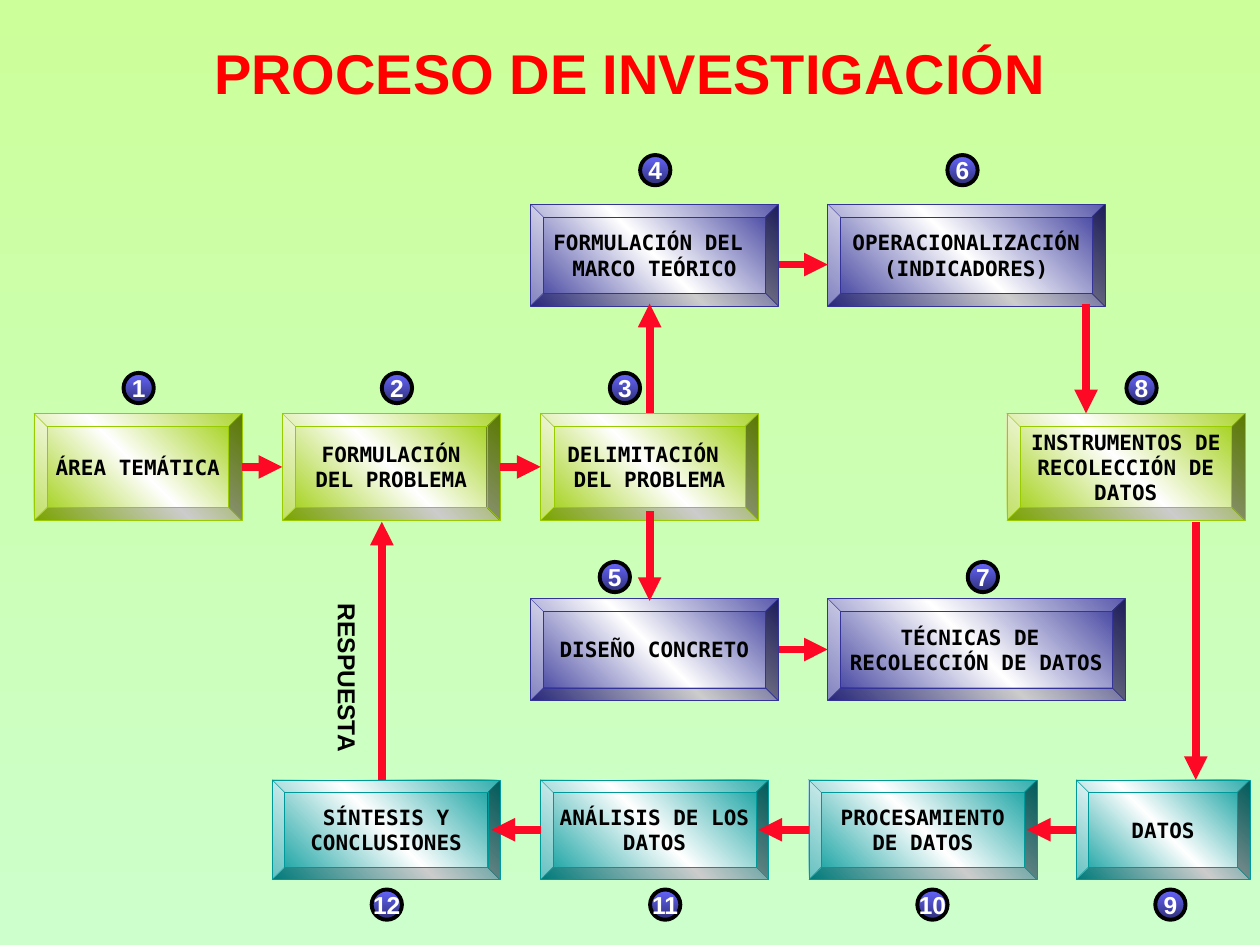
from copy import deepcopy
from dataclasses import dataclass

from lxml.etree import SubElement
from pptx import Presentation
from pptx.dml.color import RGBColor
from pptx.enum.shapes import MSO_CONNECTOR, MSO_SHAPE
from pptx.enum.text import MSO_ANCHOR, MSO_AUTO_SIZE, PP_ALIGN
from pptx.oxml.ns import qn
from pptx.util import Pt


@dataclass(frozen=True)
class Theme:
    """Colours, fonts and type sizes of the slide."""
    sky: tuple = ("CCFF99", "CCFFCC")
    ball: tuple = ("6666FF", "2F2F76")
    lime: str = "99CC00"
    navy: str = "333399"
    teal: str = "009999"
    red: str = "FF0000"
    arrow: str = "FD0926"
    black: str = "000000"
    white: str = "FFFFFF"
    sans: str = "Arial"
    mono: str = "DejaVu Sans Mono"
    head: int = 32
    label: int = 14
    body: int = 12


THEME = Theme()
DOWN, RISE = 270, 45
TOP, LEFT, RIGHT = 0, 1, 3
BALL = 17.3

# Each row: top, height, colour, side inset, then number, left, width, text.
ROWS = [
    (236.2, 61.2, THEME.lime, 5, [
        (1, 19.4, 118.8, "ÁREA TEMÁTICA"),
        (2, 161.3, 124.6, "FORMULACIÓN\nDEL PROBLEMA"),
        (3, 308.9, 124.6, "DELIMITACIÓN \nDEL PROBLEMA"),
        (8, 575.3, 136.1, "INSTRUMENTOS DE\nRECOLECCIÓN DE\nDATOS")]),
    (116.6, 58.3, THEME.navy, 3, [
        (4, 303.1, 141.8, "FORMULACIÓN DEL \nMARCO TEÓRICO"),
        (6, 473, 158.4, "OPERACIONALIZACIÓN\n(INDICADORES)")]),
    (342, 58.3, THEME.navy, 3, [
        (5, 303.1, 141.8, "DISEÑO CONCRETO"),
        (7, 473, 169.9, "TÉCNICAS DE \nRECOLECCIÓN DE DATOS")]),
    (445.7, 56.9, THEME.teal, 7.2, [
        (12, 155.5, 130.3, "SÍNTESIS Y\nCONCLUSIONES"),
        (11, 308.9, 130.3, "ANÁLISIS DE LOS\nDATOS"),
        (10, 462.2, 130.3, "PROCESAMIENTO\nDE DATOS"),
        (9, 614.9, 99.4, "DATOS")]),
]

# Each arrow: start point, end point, box it leaves, box it enters.
ARROWS = [
    ((620.6, 173.5), (620.6, 236.2), None, None),
    ((683.3, 298.1), (683.3, 445.7), None, None),
    ((371.2, 292.3), (371.2, 343.4), None, None),
    ((371.2, 236.2), (371.2, 173.5), (3, TOP), None),
    ((138.2, 266.8), (161.3, 266.8), (1, RIGHT), (2, LEFT)),
    ((285.9, 266.8), (308.9, 266.8), (2, RIGHT), (3, LEFT)),
    ((444.9, 371.15), (473, 371.15), (5, RIGHT), (7, LEFT)),
    ((614.9, 474.15), (586.8, 474.15), (9, LEFT), None),
    ((462.2, 474.15), (433.4, 474.15), (10, LEFT), None),
    ((308.9, 474.15), (280.8, 474.15), (11, LEFT), None),
    ((444.9, 151.2), (473, 151.2), None, None),
    ((218.2, 445.7), (218.2, 298.1), None, None),
]

BALLS = [
    (213.1, [(1, 70.6), (2, 218.2), (3, 348.5), (8, 643.7)]),
    (88.6, [(4, 365.8), (6, 541.4)]),
    (321.1, [(5, 342.7), (7, 553)]),
    (508.3, [(12, 212.4), (11, 371.5), (10, 524.2), (9, 660.2)]),
]


def write(frame, text, size=THEME.body, font=THEME.mono, color=THEME.black,
          inset=(7.2, 3.6), wrap=False):
    """Fill a text frame with bold centred lines."""
    frame.auto_size = MSO_AUTO_SIZE.NONE
    frame.word_wrap = wrap
    frame.vertical_anchor = MSO_ANCHOR.MIDDLE
    frame.margin_left = frame.margin_right = Pt(inset[0])
    frame.margin_top = frame.margin_bottom = Pt(inset[1])
    frame.text = text
    for line in frame.paragraphs:
        line.alignment = PP_ALIGN.CENTER
        face = line.runs[0].font
        face.name, face.size, face.bold = font, Pt(size), True
        face.color.rgb = RGBColor.from_string(color)


def shade(fill, root, angle, colors):
    """Give a fill evenly spaced gradient colours."""
    fill.gradient()
    fill.gradient_angle = angle
    stops = root.find(".//" + qn("a:gsLst"))
    for _ in colors[2:]:
        stops.append(deepcopy(stops[0]))
    for i, (stop, color) in enumerate(zip(fill.gradient_stops, colors)):
        stop.color.rgb = RGBColor.from_string(color)
        stop.position = i / (len(colors) - 1)


def form(slide, kind, area, angle, colors, edge, width):
    """Add a preset shape with a gradient and an outline."""
    shape = slide.shapes.add_shape(kind, *map(Pt, area))
    shape.shadow.inherit = False
    shade(shape.fill, shape.element, angle, colors)
    shape.line.color.rgb = RGBColor.from_string(edge)
    shape.line.width = Pt(width)
    return shape


def step(slide, area, text, color, inset):
    """Add one bevelled step of the process."""
    shape = form(slide, MSO_SHAPE.BEVEL, area, RISE,
                 (color, THEME.white, color), color, 0.25)
    write(shape.text_frame, text, inset=(inset, inset / 2))
    return shape


def badge(slide, left, top, number):
    """Add a round step number."""
    shape = form(slide, MSO_SHAPE.OVAL, (left, top, BALL, BALL), DOWN,
                 THEME.ball, THEME.black, 2.25)
    write(shape.text_frame, str(number), size=THEME.label, font=THEME.sans,
          color=THEME.white)


def arrow(slide, start, end, leave, enter, steps):
    """Add a red arrow, joined to steps where it meets them."""
    link = slide.shapes.add_connector(
        MSO_CONNECTOR.STRAIGHT, *map(Pt, start + end))
    if leave:
        link.begin_connect(steps[leave[0]], leave[1])
    if enter:
        link.end_connect(steps[enter[0]], enter[1])
    link.line.color.rgb = RGBColor.from_string(THEME.arrow)
    link.line.width = Pt(4.5)
    root = link.element.spPr
    SubElement(root.find(qn("a:ln")), qn("a:tailEnd"), type="triangle")
    SubElement(root, qn("a:effectLst"))


def title(slide, text):
    """Place and fill the slide title."""
    shape = slide.shapes.title
    shape.left, shape.top = Pt(36), Pt(21.6)
    shape.width, shape.height = Pt(648), Pt(38.9)
    write(shape.text_frame, text, size=THEME.head, font=THEME.sans,
          color=THEME.red, wrap=True)


def side(slide, text):
    """Add a label that reads downwards."""
    shape = slide.shapes.add_textbox(*map(Pt, (190.1, 337.7, 17.3, 96.5)))
    write(shape.text_frame, text, size=THEME.label, font=THEME.sans,
          inset=(3.6, 7.2))
    shape.element.find(".//" + qn("a:bodyPr")).set("vert", "eaVert")


def main():
    """Build the slide and save it."""
    deck = Presentation()
    deck.slide_width, deck.slide_height = Pt(720), Pt(540)
    slide = deck.slides.add_slide(deck.slide_layouts[5])
    shade(slide.background.fill, slide.element, DOWN, THEME.sky)
    title(slide, "PROCESO DE INVESTIGACIÓN")
    steps = {}
    for top, height, color, inset, cells in ROWS:
        for number, left, width, text in cells:
            steps[number] = step(slide, (left, top, width, height), text,
                                 color, inset)
    for item in ARROWS:
        arrow(slide, *item, steps)
    for top, cells in BALLS:
        for number, left in cells:
            badge(slide, left, top, number)
    side(slide, "RESPUESTA")
    deck.save("out.pptx")


if __name__ == "__main__":
    main()
